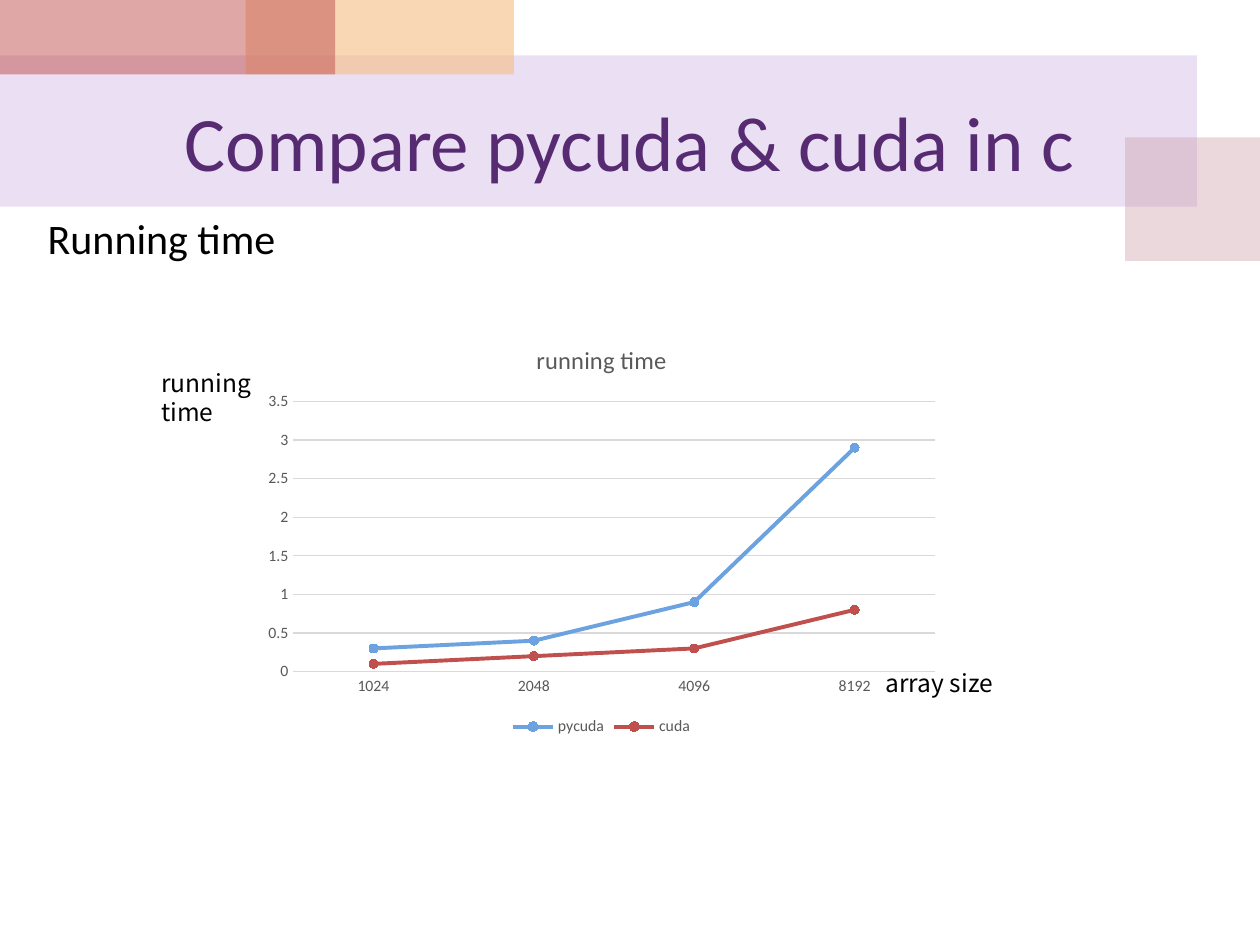
from typing import NamedTuple

from lxml.etree import SubElement
from pptx import Presentation
from pptx.chart.data import CategoryChartData
from pptx.dml.color import RGBColor
from pptx.enum.chart import XL_CHART_TYPE as ChartType
from pptx.enum.chart import XL_LEGEND_POSITION as LegendPos
from pptx.enum.chart import XL_MARKER_STYLE as Marker
from pptx.enum.chart import XL_TICK_MARK as Tick
from pptx.enum.shapes import MSO_SHAPE as Shape
from pptx.enum.text import MSO_ANCHOR as Anchor
from pptx.enum.text import PP_ALIGN as Align
from pptx.oxml.ns import qn
from pptx.util import Inches, Pt

BODY_FONT = "Calibri"
LABEL_FONT = "Noto Sans CJK KR"
CHART_GREY = "595959"
RULE_GREY = "D9D9D9"


class Area(NamedTuple):
    left: float
    top: float
    width: float
    height: float

    def emu(self):
        return tuple(Inches(length) for length in self)


class Band(NamedTuple):
    area: Area
    color: str
    opacity: int


class Timing(NamedTuple):
    name: str
    seconds: tuple
    color: str


BANDS = (
    Band(Area(0, 0.44, 9.5, 1.2), "BF98D8", 30),
    Band(Area(8.93, 1.09, 1.07, 0.98), "CC9EAC", 40),
    Band(Area(1.95, 0, 2.13, 0.59), "F5BC83", 60),
    Band(Area(0, 0, 2.66, 0.59), "C0504D", 50),
)
ARRAY_SIZES = ("1024", "2048", "4096", "8192")
TIMINGS = (
    Timing("pycuda", (0.3, 0.4, 0.9, 2.9), "6BA2DF"),
    Timing("cuda", (0.1, 0.2, 0.3, 0.8), "C0504D"),
)


def rgb(color: str) -> RGBColor:
    return RGBColor.from_string(color)


def style_font(font, size: float, color: str, name: str = BODY_FONT) -> None:
    font.size, font.name, font.bold = Pt(size), name, False
    font.color.rgb = rgb(color)


def style_line(line, color: str, width: float) -> None:
    line.color.rgb = rgb(color)
    line.width = Pt(width)


def add_band(slide, band: Band) -> None:
    rect = slide.shapes.add_shape(Shape.RECTANGLE, *band.area.emu())
    rect.shadow.inherit = False
    rect.line.fill.background()
    rect.fill.solid()
    rect.fill.fore_color.rgb = rgb(band.color)
    color = rect.fill._xPr.find(".//" + qn("a:srgbClr"))
    SubElement(color, qn("a:alpha"), val=str(band.opacity * 1000))


def add_text(slide, text: str, area: Area, *, size: float,
             color: str = "000000", font: str = BODY_FONT,
             align=Align.LEFT, anchor=Anchor.TOP) -> None:
    frame = slide.shapes.add_textbox(*area.emu()).text_frame
    frame.word_wrap = True
    frame.vertical_anchor = anchor
    paragraph = frame.paragraphs[0]
    paragraph.alignment = align
    run = paragraph.add_run()
    run.text = text
    style_font(run.font, size, color, font)


def style_axes(chart) -> None:
    for axis in (chart.category_axis, chart.value_axis):
        axis.major_tick_mark = axis.minor_tick_mark = Tick.NONE
        style_font(axis.tick_labels.font, 9, CHART_GREY)
    style_line(chart.category_axis.format.line, RULE_GREY, 0.75)
    seconds = chart.value_axis
    seconds.minimum_scale, seconds.maximum_scale, seconds.major_unit = 0, 3.5, 0.5
    seconds.format.line.fill.background()
    seconds.has_major_gridlines = True
    style_line(seconds.major_gridlines.format.line, RULE_GREY, 0.75)


def add_timing_chart(slide, area: Area) -> None:
    data = CategoryChartData()
    data.categories = ARRAY_SIZES
    for timing in TIMINGS:
        data.add_series(timing.name, timing.seconds)
    chart = slide.shapes.add_chart(ChartType.LINE_MARKERS, *area.emu(), data).chart
    style_font(chart.font, 10, "000000")

    chart.has_title = True
    chart.chart_title.include_in_layout = False
    title = chart.chart_title.text_frame
    title.text = "running time"
    style_font(title.paragraphs[0].runs[0].font, 14, CHART_GREY)

    chart.has_legend = True
    chart.legend.position = LegendPos.BOTTOM
    chart.legend.include_in_layout = False
    style_font(chart.legend.font, 9, CHART_GREY)

    style_axes(chart)
    chart.plots[0].vary_by_categories = False
    for series, timing in zip(chart.plots[0].series, TIMINGS):
        series.smooth = False
        style_line(series.format.line, timing.color, 2.25)
        series.marker.style, series.marker.size = Marker.CIRCLE, 5
        series.marker.format.fill.solid()
        series.marker.format.fill.fore_color.rgb = rgb(timing.color)
        style_line(series.marker.format.line, timing.color, 0.75)


def main() -> None:
    deck = Presentation()
    deck.slide_width, deck.slide_height = Inches(10), Inches(7.5)
    slide = deck.slides.add_slide(deck.slide_layouts[6])
    for band in BANDS:
        add_band(slide, band)
    add_text(slide, "Compare pycuda & cuda in c", Area(0.5, 0.59, 9, 1.05),
             size=44, color="562B71", align=Align.CENTER, anchor=Anchor.MIDDLE)
    add_text(slide, "Running time", Area(0.28, 1.64, 9, 4.95), size=24)
    add_timing_chart(slide, Area(2.02, 2.57, 5.51, 3.31))
    for label, area in (("array size", Area(6.93, 5.25, 1.22, 0.34)),
                        ("running time", Area(1.18, 2.87, 1.22, 0.57))):
        add_text(slide, label, area, size=14, font=LABEL_FONT)
    deck.save("out.pptx")


if __name__ == "__main__":
    main()
